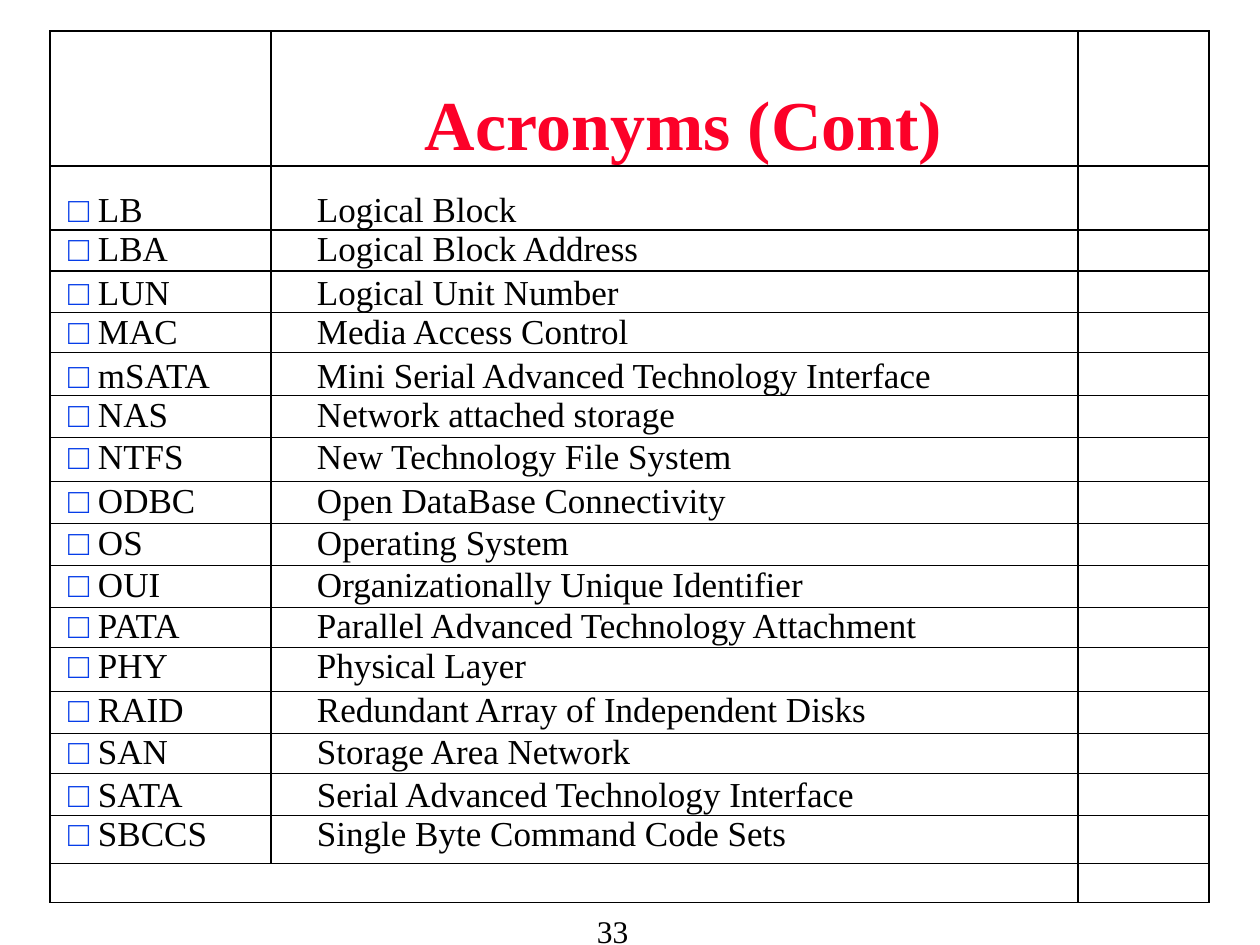
from lxml import etree
from pptx import Presentation, util as u
from pptx.dml.color import RGBColor
from pptx.enum import text
from pptx.oxml import ns

FONT = "Times New Roman"
BLACK, RED, BLUE = "000000", "FC0128", "063DE8"
COLUMNS = [221, 807, 131]
ROWS = [135, 64, 41, 42, 40, 43, 42, 44, 42, 42, 42, 40, 44, 42, 40, 42, 48, 39]
BOTTOM_ROWS = {0, 1, 3, 5, 15}
ACRONYMS = [
    ("LB", "Logical Block"),
    ("LBA", "Logical Block Address"),
    ("LUN", "Logical Unit Number"),
    ("MAC", "Media Access Control"),
    ("mSATA", "Mini Serial Advanced Technology Interface"),
    ("NAS", "Network attached storage"),
    ("NTFS", "New Technology File System"),
    ("ODBC", "Open DataBase Connectivity"),
    ("OS", "Operating System"),
    ("OUI", "Organizationally Unique Identifier"),
    ("PATA", "Parallel Advanced Technology Attachment"),
    ("PHY", "Physical Layer"),
    ("RAID", "Redundant Array of Independent Disks"),
    ("SAN", "Storage Area Network"),
    ("SATA", "Serial Advanced Technology Interface"),
    ("SBCCS", "Single Byte Command Code Sets"),
]


def px(length):
    """Turn pixels into EMU."""
    return u.Emu(round(length * 914400 / 126))


def paint(font, color):
    """Colour a font from a hex string."""
    font.color.rgb = RGBColor.from_string(color)


def style(para, size, color=None, bold=False):
    """Set the font of a whole paragraph."""
    para.font.name, para.font.size, para.font.bold = FONT, u.Pt(size), bold
    if color:
        paint(para.font, color)


def indent(para, left):
    """Set the left margin of a paragraph."""
    properties = para._p.get_or_add_pPr()
    properties.set("marL", str(px(left)))
    properties.set("indent", "0")


def format_cell(cell, at_bottom):
    """Give a cell thin borders, no fill, no margins and its anchor."""
    properties = cell._tc.get_or_add_tcPr()
    for side in ("lnL", "lnR", "lnT", "lnB"):
        line = etree.SubElement(properties, ns.qn(f"a:{side}"), w=str(u.Pt(0.75)))
        fill = etree.SubElement(line, ns.qn("a:solidFill"))
        etree.SubElement(fill, ns.qn("a:srgbClr"), val=BLACK)
    cell.fill.background()
    cell.margin_left = cell.margin_right = cell.margin_top = cell.margin_bottom = 0
    cell.vertical_anchor = text.MSO_ANCHOR.BOTTOM if at_bottom else text.MSO_ANCHOR.TOP


def write_title(cell, title):
    """Write the heading in its cell."""
    para = cell.text_frame.paragraphs[0]
    para.alignment = text.PP_ALIGN.CENTER
    indent(para, 18)
    style(para, 40, RED, True)
    para.add_run().text = title


def write_entry(short_cell, meaning_cell, short, meaning):
    """Write one acronym with its square mark, and its meaning."""
    para = short_cell.text_frame.paragraphs[0]
    indent(para, 18)
    style(para, 20)
    for words, color in (("□ ", BLUE), (short, BLACK)):
        span = para.add_run()
        span.text = words
        paint(span.font, color)
    para = meaning_cell.text_frame.paragraphs[0]
    indent(para, 46)
    style(para, 20, BLACK)
    para.add_run().text = meaning


def add_acronym_table(page, left, top):
    """Place the acronym table with its heading row."""
    table = page.shapes.add_table(
        len(ROWS), len(COLUMNS), px(left), px(top), px(sum(COLUMNS)), px(sum(ROWS))
    ).table
    table.first_row = table.horz_banding = False
    for column, width in zip(table.columns, COLUMNS):
        column.width = px(width)
    for number, (row, height) in enumerate(zip(table.rows, ROWS)):
        row.height = px(height)
        for cell in row.cells:
            format_cell(cell, number in BOTTOM_ROWS)
    write_title(table.cell(0, 1), "Acronyms (Cont)")
    for number, (short, meaning) in enumerate(ACRONYMS, 1):
        write_entry(table.cell(number, 0), table.cell(number, 1), short, meaning)
    last = len(ROWS) - 1
    table.cell(last, 0).merge(table.cell(last, 1))


def add_page_number(page, left, top, width, height, number):
    """Place the page number."""
    box = page.shapes.add_textbox(px(left), px(top), px(width), px(height))
    frame = box.text_frame
    frame.margin_left = frame.margin_right = frame.margin_top = frame.margin_bottom = 0
    frame.word_wrap = False
    para = frame.paragraphs[0]
    style(para, 18, BLACK)
    para.add_run().text = number


def main():
    """Build and save the deck."""
    deck = Presentation()
    deck.slide_width, deck.slide_height = px(1260), px(945)
    page = deck.slides.add_slide(deck.slide_layouts[6])
    add_acronym_table(page, 50, 31)
    add_page_number(page, 597, 912, 60, 27, "33")
    deck.save("out.pptx")


if __name__ == "__main__":
    main()
